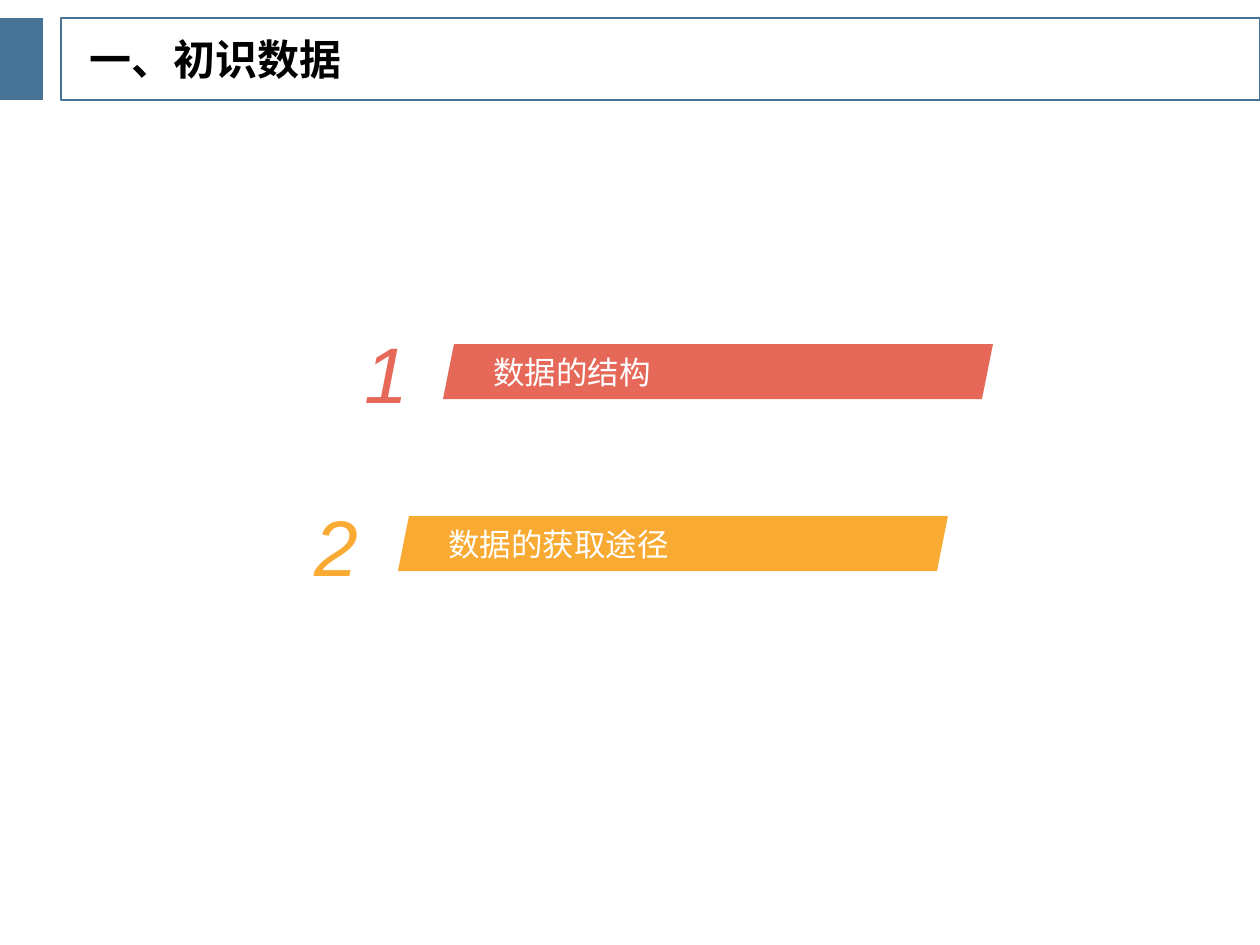
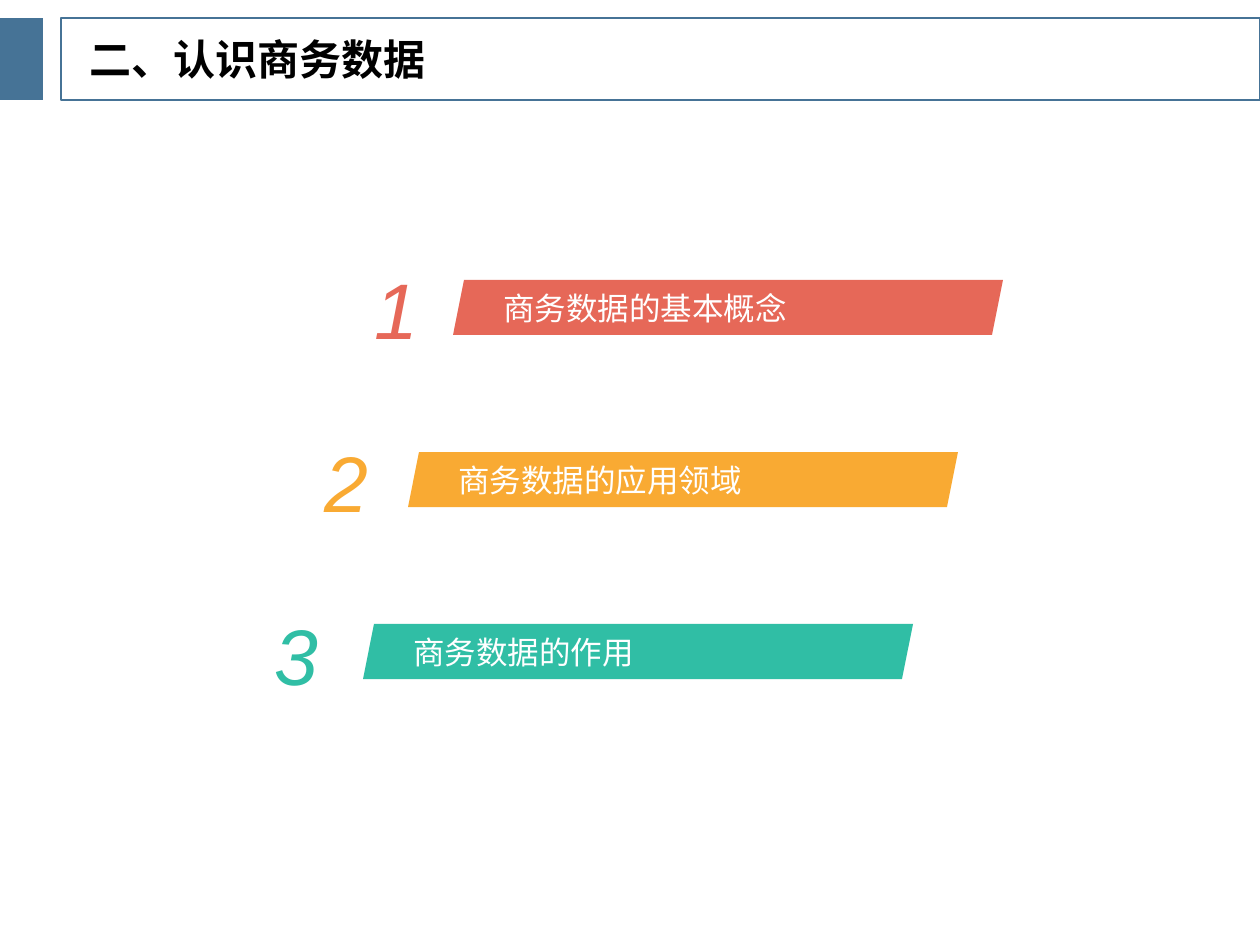
from pptx import Presentation
from pptx import util as u
from pptx.dml.color import RGBColor
from pptx.enum import shapes, text

PX = 914400 / 126
BLUE, WHITE, BLACK = "467396", "FFFFFF", "000000"
TINTS = ["E66858", "F9AA33", "30BEA5"]
BODY, DIGIT = "Quicksand", "Arial"
STEP = (-45, 172)

SLIDES = [
    {"title": "一、初识数据", "start": (443, 344),
     "items": ["数据的结构", "数据的获取途径"]},
    {"title": "二、认识商务数据", "start": (453, 280),
     "items": ["商务数据的基本概念", "商务数据的应用领域", "商务数据的作用"]},
]


def color(code):
    return RGBColor.from_string(code)


def emu(*sizes):
    return [round(n * PX) for n in sizes]


def shape(slide, kind, box, fill=None, line=None):
    item = slide.shapes.add_shape(kind, *emu(*box))
    item.shadow.inherit = False
    if fill:
        item.fill.solid()
        item.fill.fore_color.rgb = color(fill)
    else:
        item.fill.background()
    if line:
        item.line.color.rgb = color(line)
        item.line.width = u.Pt(1)
    else:
        item.line.fill.background()
    return item


def write(item, words, size, face, tint, align, pad=(0, 0)):
    frame = item.text_frame
    frame.word_wrap = True
    frame.vertical_anchor = text.MSO_ANCHOR.MIDDLE
    frame.margin_left = frame.margin_right = u.Inches(pad[0])
    frame.margin_top = frame.margin_bottom = u.Inches(pad[1])
    par = frame.paragraphs[0]
    par.text = words
    par.alignment = align
    font = par.font
    font.size, font.name = u.Pt(size), face
    font.color.rgb = color(tint)
    return par


def label(slide, box, *style):
    return write(slide.shapes.add_textbox(*emu(*box)), *style)


def header(slide, title):
    rect = shapes.MSO_SHAPE.RECTANGLE
    shape(slide, rect, (0, 18, 43, 82), fill=BLUE)
    shape(slide, rect, (61, 18, 1199, 82), line=BLUE)
    par = label(slide, (77, 30, 583, 64), title, 24, BODY, BLACK,
                text.PP_ALIGN.LEFT, (0.1, 0.05))
    par.line_spacing = 0.9
    par.font.bold = True


def entry(slide, i, words, start):
    x, y = (a + i * d for a, d in zip(start, STEP))
    bar = shape(slide, shapes.MSO_SHAPE.PARALLELOGRAM, (x, y, 550, 55), fill=TINTS[i])
    bar.adjustments[0] = 0.2
    write(bar, words, 18, BODY, WHITE, text.PP_ALIGN.JUSTIFY)
    par = label(slide, (x - 120 - 5 * i, y - 54 + i, 126, 165), str(i + 1), 45,
                DIGIT, TINTS[i], text.PP_ALIGN.CENTER)
    par.font.italic = True


def main():
    deck = Presentation()
    deck.slide_width, deck.slide_height = emu(1260, 945)
    for page in SLIDES:
        slide = deck.slides.add_slide(deck.slide_layouts[6])
        header(slide, page["title"])
        for i, words in enumerate(page["items"]):
            entry(slide, i, words, page["start"])
    deck.save("out.pptx")


if __name__ == "__main__":
    main()
